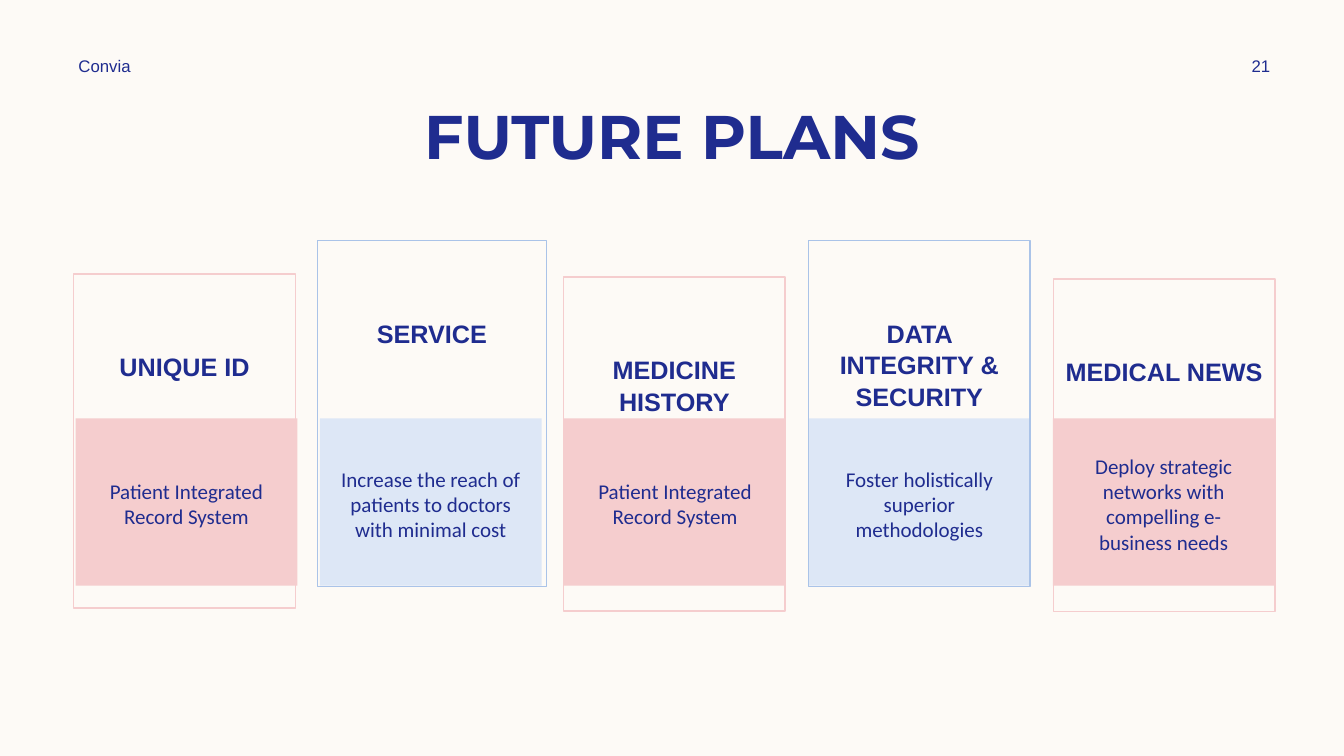
from dataclasses import dataclass

from pptx import Presentation
from pptx.dml.color import RGBColor
from pptx.enum.shapes import MSO_SHAPE
from pptx.enum.text import MSO_ANCHOR, PP_ALIGN
from pptx.util import Pt

RECT = MSO_SHAPE.RECTANGLE
LEFT, CENTER = PP_ALIGN.LEFT, PP_ALIGN.CENTER
TOP, MIDDLE = MSO_ANCHOR.TOP, MSO_ANCHOR.MIDDLE


@dataclass(frozen=True)
class Theme:
    background: str = "FDFAF6"
    ink: str = "1F2C8F"
    pink: str = "F5CDCE"
    pale_blue: str = "DDE7F6"
    blue: str = "AAC3E8"
    title_font: str = "Montserrat"
    heading_font: str = "Arial"
    body_font: str = "Calibri"
    title_size: float = 44
    heading_size: float = 18
    body_size: float = 15
    small_size: float = 12


class SlideBuilder:
    def __init__(self, slide, theme):
        self.slide = slide
        self.theme = theme
        fill = slide.background.fill
        fill.solid()
        fill.fore_color.rgb = RGBColor.from_string(theme.background)

    def set_text(self, shape, text, font, size, bold=False, align=CENTER,
                 anchor=MIDDLE, inset_top=3.6, spacing=1.0):
        frame = shape.text_frame
        frame.word_wrap = True
        frame.vertical_anchor = anchor
        frame.margin_left = frame.margin_right = Pt(7.2)
        frame.margin_top, frame.margin_bottom = Pt(inset_top), Pt(3.6)
        paragraph = frame.paragraphs[0]
        paragraph.alignment = align
        paragraph.line_spacing = spacing
        for number, line in enumerate(text.split("\n")):
            if number:
                paragraph.add_line_break()
            run = paragraph.add_run()
            run.text = line
            run.font.name, run.font.size, run.font.bold = font, Pt(size), bold
            run.font.color.rgb = RGBColor.from_string(self.theme.ink)

    def text(self, box, text, font, size, **style):
        shape = self.slide.shapes.add_textbox(*map(Pt, box))
        self.set_text(shape, text, font, size, **style)

    def rectangle(self, box, fill=None, line=None):
        shape = self.slide.shapes.add_shape(RECT, *map(Pt, box))
        shape.shadow.inherit = False
        if fill:
            shape.fill.solid()
            shape.fill.fore_color.rgb = RGBColor.from_string(fill)
        else:
            shape.fill.background()
        if line:
            shape.line.color.rgb = RGBColor.from_string(line)
            shape.line.width = Pt(1)
        else:
            shape.line.fill.background()
        return shape

    def plan(self, left, band_color, frame_color, frame_box, heading, detail):
        theme = self.theme
        self.rectangle((left, 298.8, 158.4, 119.5), fill=band_color)
        frame = self.rectangle(frame_box, line=frame_color)
        self.set_text(frame, heading, theme.heading_font, theme.heading_size,
                      bold=True, anchor=TOP, inset_top=54, spacing=1.05)
        self.text((left + 3.6, 306, 151.2, 108), detail,
                  theme.body_font, theme.body_size)


def main():
    deck = Presentation()
    deck.slide_width, deck.slide_height = Pt(960), Pt(540)
    theme = Theme()
    builder = SlideBuilder(deck.slides.add_slide(deck.slide_layouts[6]), theme)

    # Header and title
    builder.text((49, 36, 252, 21.6), "Convia", theme.heading_font,
                 theme.small_size, align=LEFT)
    builder.text((861.8, 36, 77.8, 21.6), "21", theme.heading_font,
                 theme.small_size)
    builder.text((60, 66.2, 840, 60.5), "FUTURE PLANS", theme.title_font,
                 theme.title_size, bold=True, anchor=TOP)

    # Plans: outline box, heading, detail
    plans = [
        ((52.6, 195.8, 158.4, 238.5), "UNIQUE ID",
         "Patient Integrated Record System"),
        ((226.8, 172, 163.5, 247), "SERVICE",
         "Increase the reach of patients to doctors with minimal cost"),
        ((402.5, 198, 158.4, 238.5), "MEDICINE HISTORY",
         "Patient Integrated Record System"),
        ((577.5, 172, 158.4, 247), "DATA INTEGRITY & SECURITY",
         "Foster holistically superior methodologies"),
        ((752.4, 199.4, 158.4, 237.6), "MEDICAL NEWS",
         "Deploy strategic networks with compelling e-\nbusiness needs"),
    ]
    # Columns alternate between pink and blue
    palettes = [(theme.pink, theme.pink), (theme.pale_blue, theme.blue)]
    for column, (frame_box, heading, detail) in enumerate(plans):
        band_color, frame_color = palettes[column % 2]
        builder.plan(54 + 174.5 * column, band_color, frame_color,
                     frame_box, heading, detail)

    deck.save("out.pptx")


if __name__ == "__main__":
    main()
